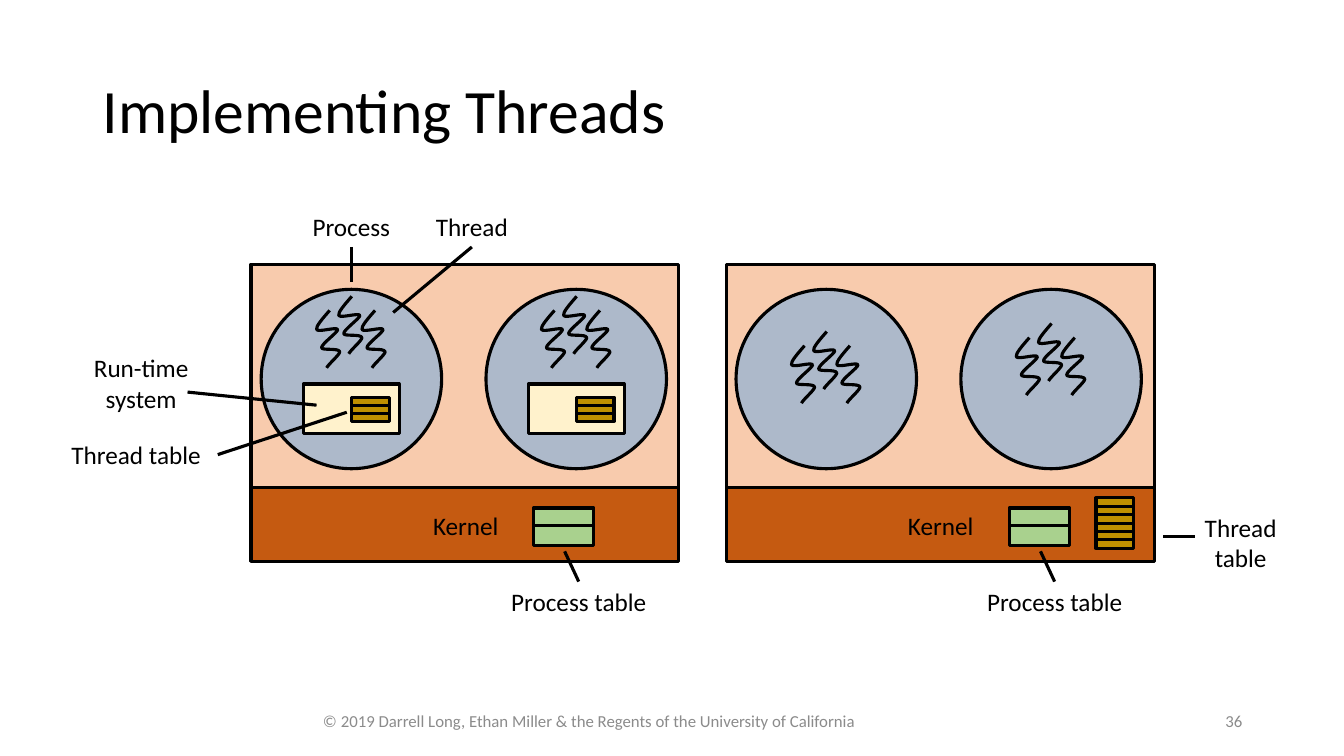
from dataclasses import dataclass

import lxml.etree
import pptx
import pptx.dml.color
import pptx.enum.shapes
import pptx.enum.text
import pptx.oxml.ns
import pptx.util

Inches = pptx.util.Inches
Shape = pptx.enum.shapes.MSO_SHAPE
Align = pptx.enum.text.PP_ALIGN
Anchor = pptx.enum.text.MSO_ANCHOR
AutoSize = pptx.enum.text.MSO_AUTO_SIZE
qn = pptx.oxml.ns.qn
Point = tuple[float, float]


@dataclass(frozen=True)
class Theme:
    font: str = "Calibri"
    ink: str = "000000"
    footer: str = "8B8B8B"
    user_space: str = "F8CBAD"
    kernel: str = "C55A11"
    process: str = "ADB9CA"
    runtime: str = "FFF2CC"
    thread_table: str = "BF9000"
    process_table: str = "A9D18E"
    title_size: float = 44
    label_size: float = 18
    footer_size: float = 12
    stroke: float = 2.25


@dataclass(frozen=True)
class Panel:
    left: float
    process_left: float
    thread_tops: tuple[float, float]
    has_runtime: bool


@dataclass(frozen=True)
class Label:
    text: str
    left: float
    top: float
    width: float
    height: float = 0.4


@dataclass(frozen=True)
class Leader:
    start: Point
    end: Point


THEME = Theme()
PROCESS_STEP = 2.23
PROCESS_SIZE = (1.79, 1.78)
THREAD_OFFSETS = ((0, 0), (0.23, 0.14), (-0.22, 0.14))
THREAD_CURVES = (
    ((-0.07, 0.08), (-0.14, 0.16), (-0.13, 0.19)),
    ((-0.11, 0.22), (0.07, 0.16), (0.08, 0.19)),
    ((0.08, 0.22), (-0.08, 0.33), (-0.08, 0.37)),
    ((-0.08, 0.4), (0.09, 0.37), (0.1, 0.41)),
    ((0.1, 0.44), (-0.01, 0.53), (-0.03, 0.57)),
)
PANELS = (
    Panel(2.49, 2.59, (2.94, 2.94), True),
    Panel(7.21, 7.3, (3.29, 3.21), False),
)
LABELS = (
    Label("Process", 2.85, 2.05, 1.27),
    Label("Thread", 4.12, 2.05, 1.12),
    Label("Run-time system", 0.53, 3.45, 1.74, 0.71),
    Label("Thread table", 0.53, 4.31, 1.64),
    Label("Thread table", 11.58, 5.03, 1.45, 0.71),
)
LEADERS = (
    Leader((3.49, 2.45), (3.49, 2.8)),
    Leader((4.68, 2.45), (3.9, 3.1)),
    Leader((1.86, 3.89), (3.14, 4.02)),
    Leader((2.16, 4.51), (3.44, 4.09)),
    Leader((11.85, 5.32), (11.53, 5.32)),
)


def rgb(value: str) -> pptx.dml.color.RGBColor:
    return pptx.dml.color.RGBColor.from_string(value)


def set_stroke(line) -> None:
    line.color.rgb = rgb(THEME.ink)
    line.width = pptx.util.Pt(THEME.stroke)


def add_text(page, text: str, left: float, top: float, width: float, height: float, *,
             size: float = THEME.label_size, color: str = THEME.ink,
             align: Align = Align.CENTER, anchor: Anchor = Anchor.TOP,
             spacing: float = 1.0, fit: AutoSize = AutoSize.SHAPE_TO_FIT_TEXT) -> None:
    box = page.shapes.add_textbox(*map(Inches, (left, top, width, height)))
    frame = box.text_frame
    frame.word_wrap = True
    frame.auto_size = fit
    frame.vertical_anchor = anchor
    para = frame.paragraphs[0]
    para.alignment = align
    para.line_spacing = spacing
    span = para.add_run()
    span.text = text
    span.font.name = THEME.font
    span.font.size = pptx.util.Pt(size)
    span.font.color.rgb = rgb(color)


def add_block(page, kind: Shape, left: float, top: float, width: float,
              height: float, fill: str) -> None:
    block = page.shapes.add_shape(kind, *map(Inches, (left, top, width, height)))
    block.shadow.inherit = False
    block.fill.solid()
    block.fill.fore_color.rgb = rgb(fill)
    set_stroke(block.line)


def add_thread_table(page, left: float, top: float, height: float, rows: int) -> None:
    row_height = height / rows
    for row in range(rows):
        add_block(page, Shape.RECTANGLE, left, top + row * row_height, 0.37,
                  row_height, THEME.thread_table)


def add_leader(page, leader: Leader) -> None:
    connector = page.shapes.add_connector(
        pptx.enum.shapes.MSO_CONNECTOR.STRAIGHT,
        *map(Inches, leader.start + leader.end))
    set_stroke(connector.line)
    lxml.etree.SubElement(connector._element.spPr, qn("a:effectLst"))


def add_thread(page, x: float, y: float) -> None:
    builder = page.shapes.build_freeform(Inches(x), Inches(y))
    builder.add_line_segments(
        [(Inches(x + curve[-1][0]), Inches(y + curve[-1][1])) for curve in THREAD_CURVES],
        close=False)
    thread = builder.convert_to_shape()
    segments = list(thread._element.iter(qn("a:lnTo")))
    for segment, curve in zip(segments, THREAD_CURVES):
        bend = lxml.etree.Element(qn("a:cubicBezTo"))
        for dx, dy in curve:
            lxml.etree.SubElement(bend, qn("a:pt"),
                                  x=str(Inches(x + dx) - thread.left),
                                  y=str(Inches(y + dy) - thread.top))
        segment.getparent().replace(segment, bend)
    thread.shadow.inherit = False
    thread.fill.background()
    set_stroke(thread.line)


def add_process(page, left: float, thread_top: float, has_runtime: bool) -> None:
    add_block(page, Shape.OVAL, left, 2.87, *PROCESS_SIZE, THEME.process)
    middle = left + 0.9
    for dx, dy in THREAD_OFFSETS:
        add_thread(page, middle + dx, thread_top + dy)
    if has_runtime:
        add_block(page, Shape.RECTANGLE, left + 0.42, 3.81, 0.95, 0.49, THEME.runtime)
        add_thread_table(page, middle, 3.94, 0.24, 3)


def add_panel(page, panel: Panel) -> None:
    left = panel.left
    add_block(page, Shape.RECTANGLE, left, 2.62, 4.24, 2.22, THEME.user_space)
    add_block(page, Shape.RECTANGLE, left, 4.84, 4.24, 0.73, THEME.kernel)
    for index, thread_top in enumerate(panel.thread_tops):
        add_process(page, panel.process_left + index * PROCESS_STEP, thread_top,
                    panel.has_runtime)
    add_text(page, "Kernel", panel.process_left + 1.3, 5.01, 1.46, 0.4)
    for top, height in ((5.04, 0.17), (5.21, 0.2)):
        add_block(page, Shape.RECTANGLE, left + 2.8, top, 0.6, height, THEME.process_table)
    add_text(page, "Process table", left + 2.38, 5.77, 1.74, 0.4)
    add_leader(page, Leader((left + 3.25, 5.77), (left + 3.11, 5.47)))
    if not panel.has_runtime:
        add_thread_table(page, left + 3.66, 4.94, 0.5, 6)


def main() -> None:
    deck = pptx.Presentation()
    deck.slide_width, deck.slide_height = Inches(13.33), Inches(7.5)
    page = deck.slides.add_slide(deck.slide_layouts[6])
    add_text(page, "Implementing Threads", 0.92, 0.4, 11.5, 1.45, size=THEME.title_size,
             align=Align.LEFT, anchor=Anchor.MIDDLE, spacing=0.9, fit=AutoSize.NONE)
    for panel in PANELS:
        add_panel(page, panel)
    for label in LABELS:
        add_text(page, label.text, label.left, label.top, label.width, label.height)
    for leader in LEADERS:
        add_leader(page, leader)
    copyright_line = ("© 2019 Darrell Long, Ethan Miller & the Regents "
                      "of the University of California")
    for text, left, width, align in ((copyright_line, 3.04, 5.61, Align.CENTER),
                                     ("36", 9.42, 3, Align.RIGHT)):
        add_text(page, text, left, 6.95, width, 0.4, size=THEME.footer_size,
                 color=THEME.footer, align=align, anchor=Anchor.MIDDLE, fit=AutoSize.NONE)
    deck.save("out.pptx")


if __name__ == "__main__":
    main()
